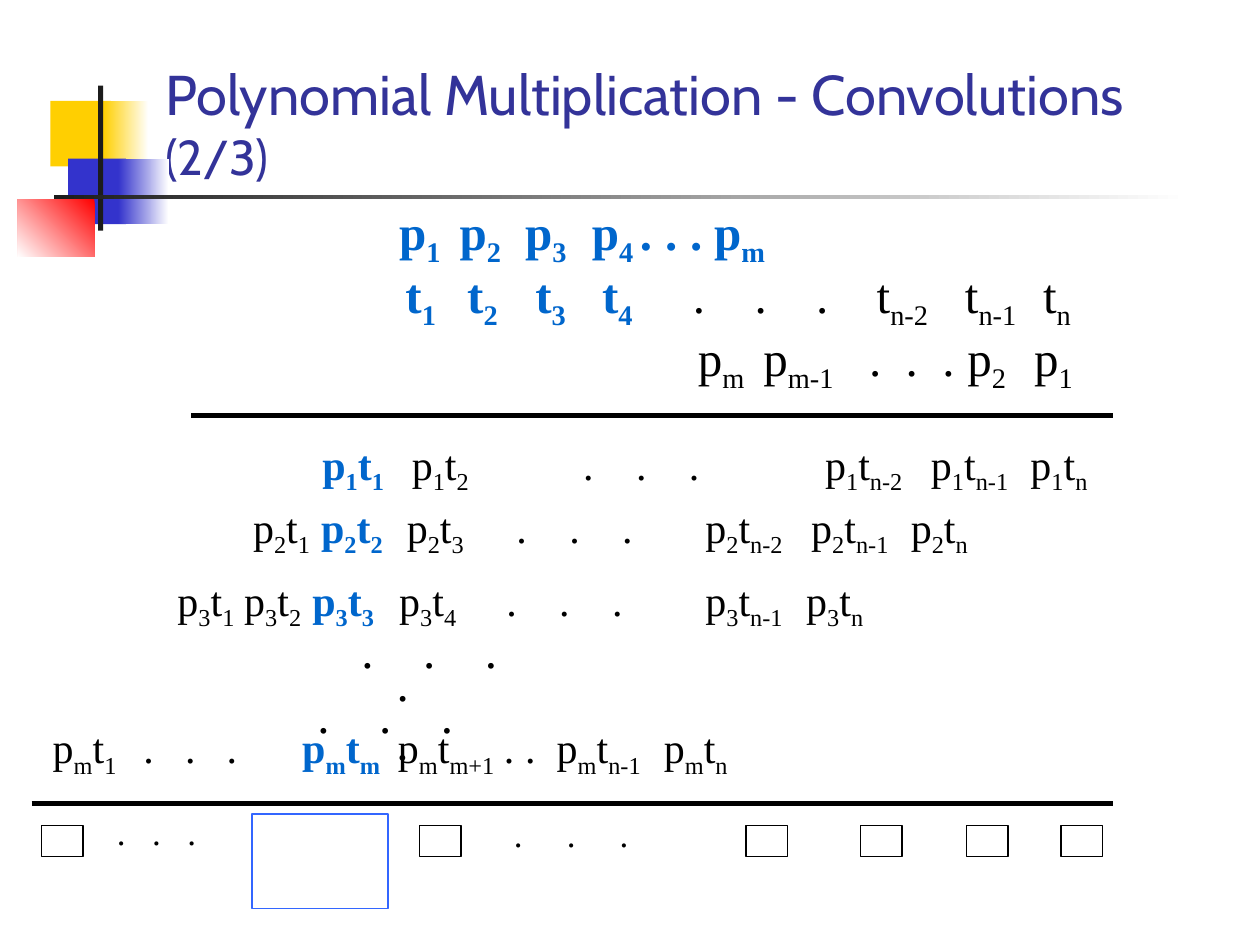
from lxml import etree
from pptx import Presentation
from pptx.dml.color import RGBColor
from pptx.enum.shapes import MSO_CONNECTOR, MSO_SHAPE
from pptx.enum.text import MSO_ANCHOR, MSO_AUTO_SIZE, PP_ALIGN
from pptx.oxml.ns import qn
from pptx.util import Inches, Pt

RECT = MSO_SHAPE.RECTANGLE
STRAIGHT = MSO_CONNECTOR.STRAIGHT
BOTTOM = MSO_ANCHOR.BOTTOM
NO_FIT = MSO_AUTO_SIZE.NONE
LEFT, CENTER = PP_ALIGN.LEFT, PP_ALIGN.CENTER

COLS, ROWS = 10, 7.5
INSET = 0.1
TITLE_FONT, MATH_FONT = "Cabin", "Times New Roman"
BLACK, BLUE, WHITE = "000000", "0066CC", "FFFFFF"
YELLOW, INDIGO, RED, INK = "FFCF01", "3333CC", "FF0000", "1C1C1C"


def rgb(value):
    """Turn a hex string into a colour."""
    return RGBColor.from_string(value)


def add_run(p, text, font=MATH_FONT, size=28, color=BLACK, bold=False, sub=False):
    """Append formatted text to a paragraph."""
    r = p.add_run()
    r.text = text
    r.font.name, r.font.size, r.font.bold = font, Pt(size), bold
    r.font.color.rgb = rgb(color)
    if sub:
        r._r.get_or_add_rPr().set("baseline", "-25000")


def dots(start, step, count=3, mark=""):
    """Return evenly spaced dots as terms of a row."""
    return [(start + i * step, mark + ".") for i in range(count)]


class Deck:
    """Style and current slide, measured in grid columns and rows."""

    def __init__(self):
        """Open a presentation with one titled slide."""
        self.prs = Presentation()
        self.prs.slide_width, self.prs.slide_height = Inches(10), Inches(7.5)
        self.s = self.prs.slides.add_slide(self.prs.slide_layouts[5])

    def x(self, cols):
        """Convert columns to a length."""
        return int(self.prs.slide_width * cols / COLS)

    def y(self, rows):
        """Convert rows to a length."""
        return int(self.prs.slide_height * rows / ROWS)

    def place(self, left, top, width, height):
        """Convert a grid rectangle to lengths."""
        return self.x(left), self.y(top), self.x(width), self.y(height)

    def title(self, box, parts):
        """Fill and move the title placeholder."""
        sp = self.s.shapes.title
        sp.left, sp.top, sp.width, sp.height = self.place(*box)
        tf = sp.text_frame
        tf.word_wrap, tf.auto_size, tf.vertical_anchor = True, NO_FIT, BOTTOM
        p = tf.paragraphs[0]
        p.alignment = LEFT
        for text, size in parts:
            add_run(p, text, font=TITLE_FONT, size=size, color="333399")

    def rect(self, box, line=None, fill=None, fade=None, angle=180):
        """Add an outlined, solid or fading rectangle."""
        sp = self.s.shapes.add_shape(RECT, *self.place(*box))
        sp.shadow.inherit = False
        if fade:
            sp.fill.gradient()
            sp.fill.gradient_angle = angle
            for stop, color in zip(sp.fill.gradient_stops, fade):
                stop.color.rgb = rgb(color)
        elif fill:
            sp.fill.solid()
            sp.fill.fore_color.rgb = rgb(fill)
        else:
            sp.fill.background()
        if line:
            sp.line.color.rgb = rgb(line)
            sp.line.width = Pt(0.75)
        else:
            sp.line.fill.background()

    def rule(self, left, right, row):
        """Add a heavy horizontal line."""
        c = self.s.shapes.add_connector(
            STRAIGHT, self.x(left), self.y(row), self.x(right), self.y(row))
        c.line.color.rgb = rgb(BLACK)
        c.line.width = Pt(3)
        etree.SubElement(c._element.spPr, qn("a:effectLst"))

    def text_box(self, left, top, width, height):
        """Add a text box and return its first paragraph."""
        tf = self.s.shapes.add_textbox(*self.place(left, top, width, height)).text_frame
        tf.word_wrap = True
        return tf.paragraphs[0]

    def row(self, top, terms, size=28):
        """Add a line of terms, each at its own tab stop; * marks a highlight."""
        first, last = terms[0][0], terms[-1][0]
        p = self.text_box(first - INSET, top, last - first + 0.9, size / 48)
        tabs = etree.SubElement(p._p.get_or_add_pPr(), qn("a:tabLst"))
        for col, term in terms:
            if col > first:
                etree.SubElement(tabs, qn("a:tab"), pos=str(self.x(col - first)), algn="l")
            bold = term.startswith("*")
            style = dict(size=size, bold=bold, color=BLUE if bold else BLACK)
            lead = "\t" if col > first else ""
            for factor in term.lstrip("*").split():
                base, _, index = factor.partition("_")
                add_run(p, lead + base, **style)
                if index:
                    add_run(p, index, sub=True, **style)
                lead = ""


def main():
    """Build the convolution slide."""
    d = Deck()
    d.rect((0.4, 0.8, 0.48, 0.52), fill=YELLOW)
    d.rect((0.82, 0.8, 0.36, 0.52), fade=(WHITE, YELLOW))
    d.rect((0.54, 1.26, 0.46, 0.52), fill=INDIGO)
    d.rect((0.94, 1.26, 0.4, 0.52), fade=(WHITE, INDIGO))
    d.rect((0.14, 1.58, 0.61, 0.46), fade=(RED, WHITE), angle=225)
    d.rect((0.78, 0.68, 0.04, 1.15), fill=INK)
    d.rect((0.43, 1.55, 9, 0.03), fade=(WHITE, INK))
    d.title((1.21, 0.27, 8.2, 1.25),
            [("Polynomial Multiplication - Convolutions", 32), (" (2/3)", 28)])

    d.row(1.55, [(3.17, "*p_1"), (3.65, "*p_2"), (4.17, "*p_3"), (4.7, "*p_4"),
                 *dots(5.08, 0.2, mark="*"), (5.67, "*p_m")])
    d.row(2.05, [(3.22, "*t_1"), (3.71, "*t_2"), (4.25, "*t_3"), (4.78, "*t_4"),
                 *dots(5.5, 0.49), (6.96, "t_n-2"), (7.66, "t_n-1"), (8.28, "t_n")])
    d.row(2.55, [(5.54, "p_m"), (6.06, "p_m-1"), *dots(6.9, 0.29),
                 (7.68, "p_2"), (8.21, "p_1")])
    d.rule(1.52, 8.83, 3.3)

    products = [
        (3.43, [(2.56, "*p_1 t_1"), (3.27, "p_1 t_2"), *dots(4.63, 0.42),
                (6.55, "p_1 t_n-2"), (7.39, "p_1 t_n-1"), (8.18, "p_1 t_n")]),
        (3.93, [(2.01, "p_2 t_1"), (2.55, "*p_2 t_2"), (3.23, "p_2 t_3"),
                *dots(4.1, 0.42), (5.6, "p_2 t_n-2"), (6.44, "p_2 t_n-1"),
                (7.23, "p_2 t_n")]),
        (4.51, [(1.41, "p_3 t_1"), (1.94, "p_3 t_2"), (2.48, "*p_3 t_3"),
                (3.17, "p_3 t_4"), *dots(4.02, 0.42), (5.6, "p_3 t_n-1"),
                (6.4, "p_3 t_n")]),
        (5.68, [(0.42, "p_m t_1"), *dots(1.14, 0.33), (2.4, "*p_m t_m"),
                (3.16, "p_m t_m+1"), *dots(4, 0.17, count=2),
                (4.42, "p_m t_n-1"), (5.27, "p_m t_n")]),
    ]
    for top, terms in products:
        d.row(top, terms, size=24)

    d.row(4.87, dots(2.87, 0.49))
    d.row(5.38, dots(2.52, 0.49))
    p = d.text_box(3, 5.13, 0.39, 0.57)
    p.alignment = CENTER
    add_run(p, "..")
    d.rule(0.25, 8.83, 6.38)

    d.rect((2, 6.46, 1.08, 0.75), line="3366FF")
    for left in (0.33, 3.33, 5.92, 6.83, 7.67, 8.42):
        d.rect((left, 6.55, 0.33, 0.25), line=BLACK)
    d.row(6.4, dots(4.08, 0.42), size=20)
    d.row(6.38, dots(0.93, 0.28), size=20)
    d.prs.save("out.pptx")


if __name__ == "__main__":
    main()
